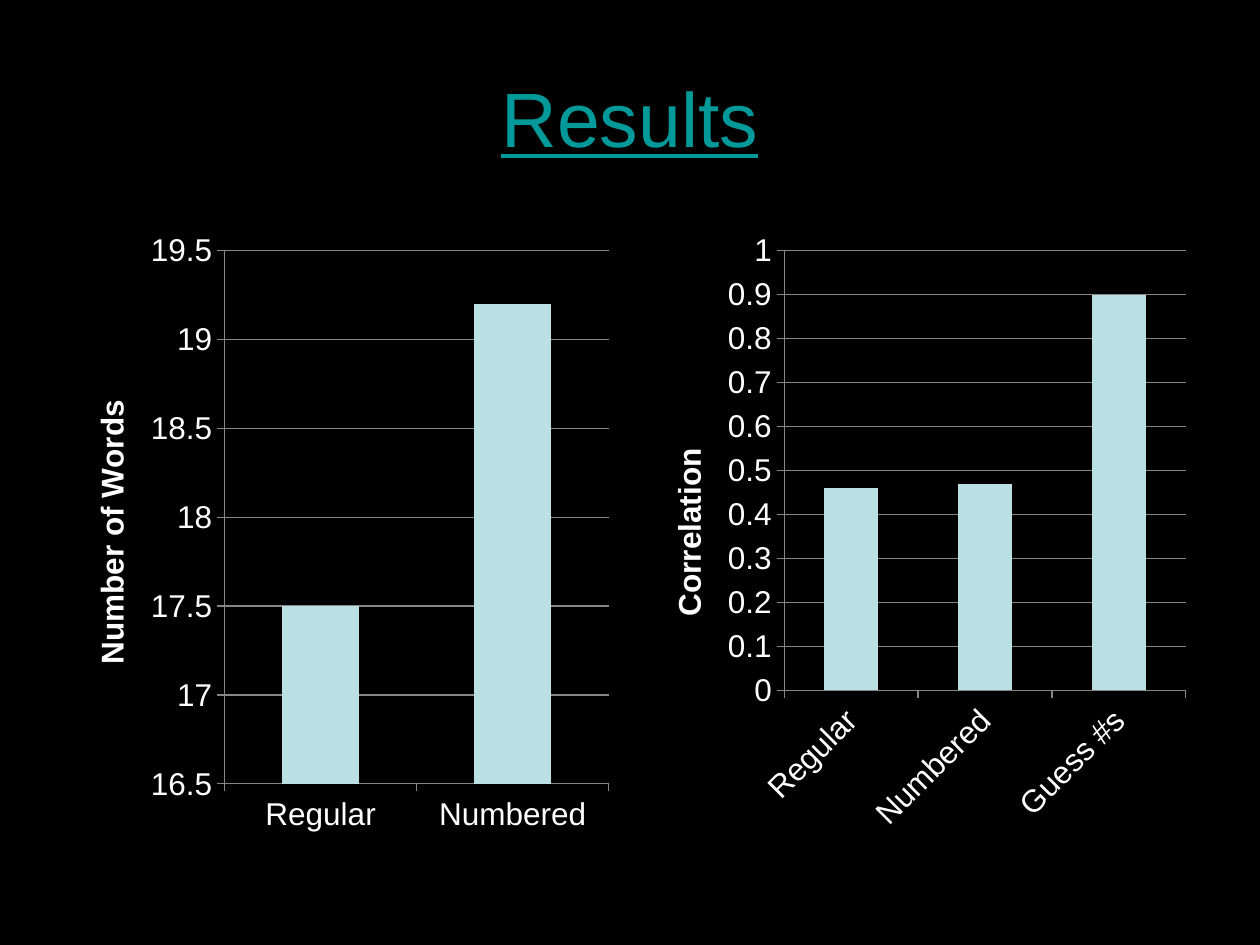
from dataclasses import dataclass

from pptx import Presentation
from pptx.chart.axis import _BaseAxis as Axis
from pptx.chart.data import CategoryChartData as ChartData
from pptx.dml.color import RGBColor as RGB
from pptx.enum.chart import XL_CHART_TYPE as ChartType, XL_TICK_MARK as Tick
from pptx.enum.text import MSO_ANCHOR as Anchor, PP_ALIGN as Align
from pptx.slide import Slide
from pptx.util import Inches, Pt


@dataclass(frozen=True)
class Theme:
    font: str = "Arial"
    background: RGB = RGB(0x00, 0x00, 0x00)
    title: RGB = RGB(0x00, 0x99, 0x99)
    text: RGB = RGB(0xFF, 0xFF, 0xFF)
    bar: RGB = RGB(0xBB, 0xE0, 0xE3)
    line: RGB = RGB(0x86, 0x86, 0x86)
    title_size: Pt = Pt(44)
    chart_size: Pt = Pt(18)


@dataclass(frozen=True)
class BarChart:
    axis_title: str
    values: dict[str, float]
    minimum: float
    maximum: float
    step: float
    label_angle: int = 0


THEME = Theme()
SLIDE_W, SLIDE_H = 10, 7.5
MARGIN = 0.5
CHART_TOP, CHART_W, CHART_H = 1.75, 4.42, 4.95

CHARTS = [
    BarChart("Number of Words", {"Regular": 17.5, "Numbered": 19.2}, 16.5, 19.5, 0.5),
    BarChart("Correlation", {"Regular": 0.46, "Numbered": 0.47, "Guess #s": 0.9},
             0, 1, 0.1, label_angle=-45),
]


def add_title(s: Slide, text: str) -> None:
    sp = s.shapes.add_textbox(Inches(MARGIN), Inches(0.3),
                              Inches(SLIDE_W - 2 * MARGIN), Inches(1.25))
    tf = sp.text_frame
    tf.word_wrap = True
    tf.vertical_anchor = Anchor.MIDDLE
    p = tf.paragraphs[0]
    p.alignment = Align.CENTER
    r = p.add_run()
    r.text = text
    r.font.name = THEME.font
    r.font.size = THEME.title_size
    r.font.underline = True
    r.font.color.rgb = THEME.title


def style_axis(axis: Axis) -> None:
    axis.major_tick_mark = Tick.OUTSIDE
    axis.minor_tick_mark = Tick.NONE
    axis.format.line.color.rgb = THEME.line


def add_bar_chart(s: Slide, spec: BarChart, left: float) -> None:
    data = ChartData()
    data.categories = list(spec.values)
    data.add_series("Series 1", list(spec.values.values()))
    chart = s.shapes.add_chart(ChartType.COLUMN_CLUSTERED, Inches(left), Inches(CHART_TOP),
                               Inches(CHART_W), Inches(CHART_H), data).chart
    chart.has_title = False
    chart.has_legend = False
    chart.font.name = THEME.font
    chart.font.size = THEME.chart_size
    chart.font.color.rgb = THEME.text

    # Bars
    plot = chart.plots[0]
    plot.vary_by_categories = False
    plot.gap_width = 150
    fill = plot.series[0].format.fill
    fill.solid()
    fill.fore_color.rgb = THEME.bar

    # Category axis, with its label angle in 60000ths of a degree
    cat_axis = chart.category_axis
    style_axis(cat_axis)
    labels = cat_axis.tick_labels
    labels.font.size = THEME.chart_size
    labels.font.color.rgb = THEME.text
    body = cat_axis._element.txPr.bodyPr
    body.set("rot", str(spec.label_angle * 60000))
    body.set("vert", "horz")

    # Value axis
    val_axis = chart.value_axis
    style_axis(val_axis)
    val_axis.minimum_scale = spec.minimum
    val_axis.maximum_scale = spec.maximum
    val_axis.major_unit = spec.step
    val_axis.has_major_gridlines = True
    val_axis.major_gridlines.format.line.color.rgb = THEME.line
    tf = val_axis.axis_title.text_frame
    r = tf.paragraphs[0].add_run()
    r.text = spec.axis_title
    r.font.name = THEME.font
    r.font.size = THEME.chart_size
    r.font.bold = True
    r.font.color.rgb = THEME.text
    body = tf._txBody.bodyPr
    body.set("rot", str(-90 * 60000))
    body.set("vert", "horz")


def main() -> None:
    prs = Presentation()
    prs.slide_width, prs.slide_height = Inches(SLIDE_W), Inches(SLIDE_H)
    s = prs.slides.add_slide(prs.slide_layouts[6])
    s.background.fill.solid()
    s.background.fill.fore_color.rgb = THEME.background

    add_title(s, "Results")

    # Charts stand side by side, flush with both margins
    pitch = SLIDE_W - 2 * MARGIN - CHART_W
    for i, spec in enumerate(CHARTS):
        add_bar_chart(s, spec, MARGIN + i * pitch)

    prs.save("out.pptx")


if __name__ == "__main__":
    main()
